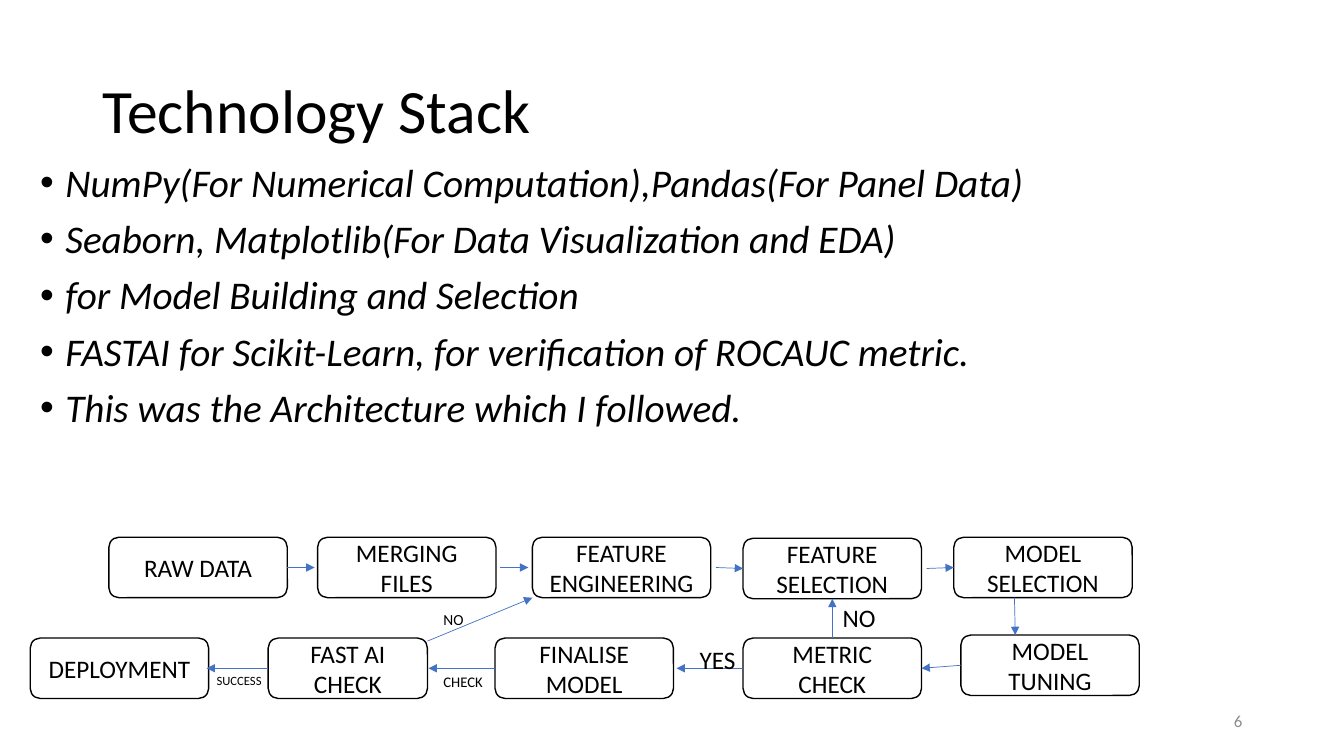
import pptx
import pptx.util
import pptx.dml.color
import pptx.enum.shapes
import pptx.enum.text
import lxml.etree
import pptx.oxml.ns

Inches = pptx.util.Inches
Pt = pptx.util.Pt
RGB = pptx.dml.color.RGBColor
ALIGN = pptx.enum.text.PP_ALIGN
ANCHOR = pptx.enum.text.MSO_ANCHOR
SHAPE = pptx.enum.shapes.MSO_SHAPE
LINE = pptx.enum.shapes.MSO_CONNECTOR
qn = pptx.oxml.ns.qn

BLACK = RGB(0, 0, 0)
WHITE = RGB(255, 255, 255)
GREY = RGB(0x8C, 0x8C, 0x8C)
BLUE = RGB(0x44, 0x72, 0xC4)
FONT = "Calibri"

BULLETS = [
    "NumPy(For Numerical Computation),Pandas(For Panel Data)",
    "Seaborn, Matplotlib(For Data Visualization and EDA)",
    "for Model Building and Selection",
    "FASTAI for Scikit-Learn, for verification of ROCAUC metric.",
    "This was the Architecture which I followed.",
]

# Steps of the flow: key, label lines, left and top within the flow box
WIDE, NARROW, TALL = 1.77, 1.58, 0.6
STEPS = [
    ("raw", ["RAW DATA"], 0.78, 0, WIDE),
    ("merge", ["MERGING FILES"], 2.85, 0, WIDE),
    ("build", ["FEATURE", "ENGINEERING"], 4.98, 0, WIDE),
    ("pick", ["FEATURE", "SELECTION"], 7.07, 0.01, WIDE),
    ("model", ["MODEL SELECTION"], 9.16, 0, WIDE),
    ("tune", ["MODEL TUNING"], 9.23, 0.97, WIDE),
    ("metric", ["METRIC CHECK"], 7.07, 1, WIDE),
    ("final", ["FINALISE MODEL"], 4.61, 1, WIDE),
    ("fast", ["FAST AI CHECK"], 2.36, 1, NARROW),
    ("deploy", ["DEPLOYMENT"], 0, 1, WIDE),
]

# Links: step and share of its size at each end, then the gap left there
RIGHT, LEFT, TOP, BOTTOM = (1, 0.5), (0, 0.5), (0.5, 0), (0.5, 1)
LINKS = [
    ("raw", RIGHT, 0, "merge", LEFT, -0.03),
    ("merge", RIGHT, 0.04, "build", LEFT, -0.04),
    ("build", RIGHT, 0.05, "pick", LEFT, 0),
    ("pick", RIGHT, 0.05, "model", LEFT, 0),
    ("model", (0.34, 1), 0, "tune", (0.305, 0), 0),
    ("tune", LEFT, 0, "metric", RIGHT, 0),
    ("metric", TOP, 0, "pick", BOTTOM, 0),
    ("metric", LEFT, 0, "final", RIGHT, 0.03),
    ("final", LEFT, 0, "fast", RIGHT, 0.01),
    ("fast", (1, 0.05), 0, "build", (0, 1), 0),
    ("fast", LEFT, 0, "deploy", RIGHT, -0.02),
]

# Notes beside the links: text, size, left, top, width, height
NOTES = [
    ("NO", 18, 7.96, 0.6, 0.6, 0.4),
    ("CHECK", 10.5, 4, 1.3, 0.6, 0.28),
    ("NO", 11, 4, 0.67, 0.6, 0.29),
    ("YES", 18, 6.54, 1.01, 0.6, 0.4),
    ("SUCCESS", 9, 1.75, 1.3, 0.69, 0.25),
]


def write(shape, lines, size=18, color=BLACK, align=ALIGN.LEFT,
          anchor=ANCHOR.TOP, italic=False, bullet=False, tight=False):
    """Fill a shape with one paragraph per line."""
    frame = shape.text_frame
    frame.word_wrap = True
    frame.vertical_anchor = anchor
    for num, line in enumerate(lines):
        para = frame.paragraphs[0] if num == 0 else frame.add_paragraph()
        para.alignment = align
        if tight:
            para.line_spacing = 0.9
        if bullet:
            para.space_before = Pt(10)
            props = para._p.get_or_add_pPr()
            props.set("marL", str(Inches(0.25)))
            props.set("indent", str(-Inches(0.25)))
            font = lxml.etree.SubElement(props, qn("a:buFont"))
            font.set("typeface", "Arial")
            lxml.etree.SubElement(props, qn("a:buChar")).set("char", "•")
        run = para.add_run()
        run.text = line
        run.font.name = FONT
        run.font.size = Pt(size)
        run.font.italic = italic
        run.font.color.rgb = color


def label(slide, box, lines, **form):
    shape = slide.shapes.add_textbox(*map(Inches, box))
    write(shape, lines, **form)


def step(slide, box, lines):
    shape = slide.shapes.add_shape(SHAPE.ROUNDED_RECTANGLE, *map(Inches, box))
    shape.shadow.inherit = False
    shape.fill.solid()
    shape.fill.fore_color.rgb = WHITE
    shape.line.color.rgb = BLACK
    shape.line.width = Pt(1)
    write(shape, lines, align=ALIGN.CENTER, anchor=ANCHOR.MIDDLE)


def arrow(slide, start, end):
    link = slide.shapes.add_connector(LINE.STRAIGHT, *map(Inches, start + end))
    link.line.color.rgb = BLUE
    link.line.width = Pt(0.5)
    tip = lxml.etree.SubElement(link.line._get_or_add_ln(), qn("a:tailEnd"))
    tip.set("type", "triangle")
    lxml.etree.SubElement(link._element.spPr, qn("a:effectLst"))


def port(box, share, gap):
    """Give the point at a share of the box, moved right by the gap."""
    left, top, width, height = box
    return left + share[0] * width + gap, top + share[1] * height


def flow(slide, left, top):
    """Draw the steps, links and notes from the corner of the flow box."""
    boxes = {}
    for key, lines, x, y, width in STEPS:
        boxes[key] = (left + x, top + y, width, TALL)
        step(slide, boxes[key], lines)
    for tail, out, lead, head, into, gap in LINKS:
        arrow(slide, port(boxes[tail], out, lead), port(boxes[head], into, gap))
    for text, size, x, y, width, height in NOTES:
        label(slide, (left + x, top + y, width, height), [text], size=size)


def main():
    deck = pptx.Presentation()
    deck.slide_width = Inches(13.33)
    deck.slide_height = Inches(7.5)
    slide = deck.slides.add_slide(deck.slide_layouts[6])
    label(slide, (0.92, 0.4, 11.5, 1.45), ["Technology Stack"],
          size=44, anchor=ANCHOR.MIDDLE, tight=True)
    label(slide, (0.3, 1.57, 12.63, 5.66), BULLETS,
          size=28, italic=True, bullet=True, tight=True)
    label(slide, (9.42, 6.95, 3, 0.4), ["6"], size=12, color=GREY,
          align=ALIGN.RIGHT, anchor=ANCHOR.MIDDLE)
    flow(slide, 0.3, 5.33)
    deck.save("out.pptx")


if __name__ == "__main__":
    main()
